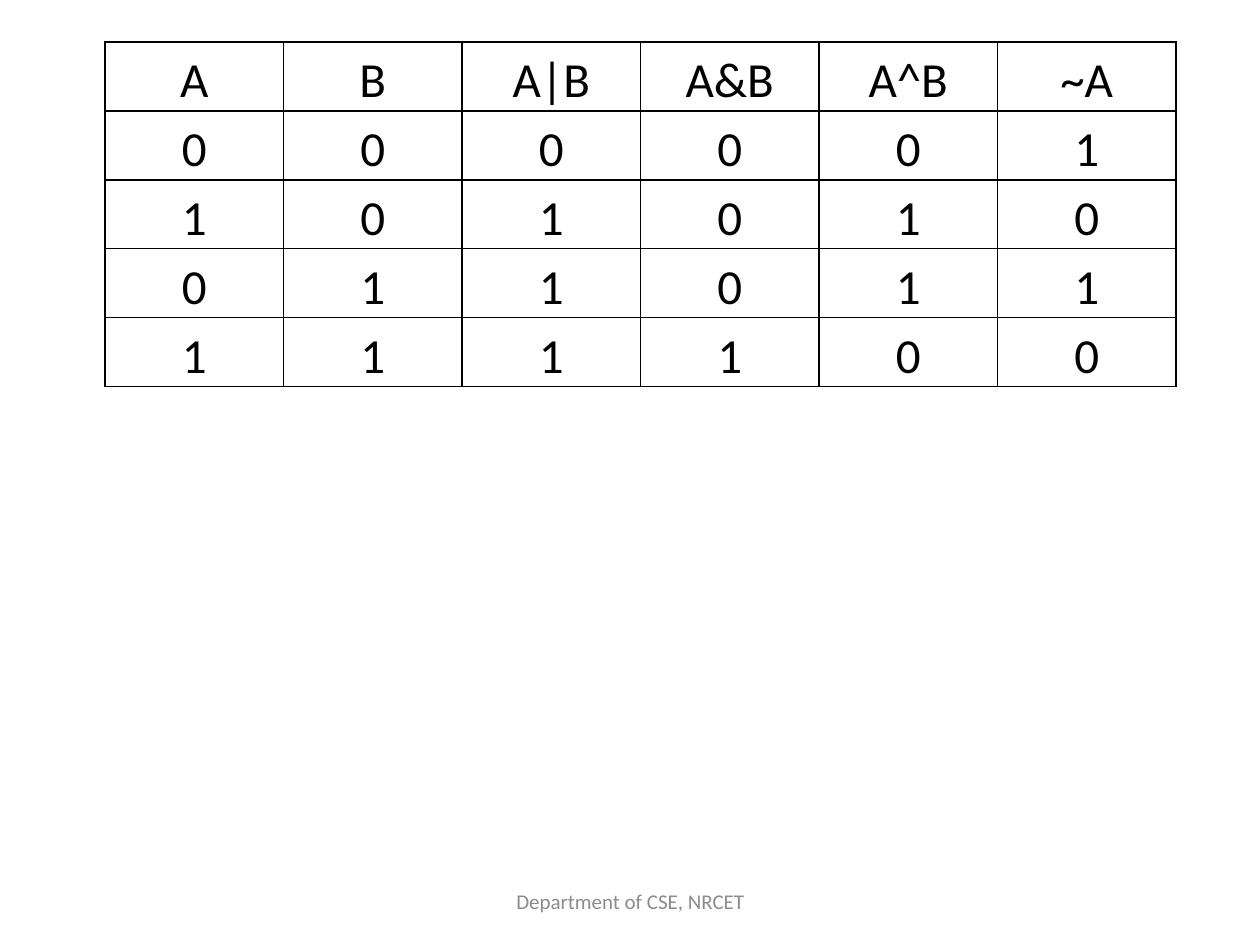
"""Build a slide with the truth table of the bitwise operators."""
from typing import NamedTuple

from lxml import etree
from pptx import Presentation
from pptx.dml.color import RGBColor
from pptx.enum.text import MSO_ANCHOR, PP_ALIGN
from pptx.oxml.ns import qn
from pptx.util import Emu, Pt

PX = 914400 // 126
FONT = "Calibri"
BLACK = RGBColor(0x00, 0x00, 0x00)
GRAY = RGBColor(0x8C, 0x8C, 0x8C)


class Box(NamedTuple):
    left: int
    top: int
    width: int
    height: int

    def emu(self) -> list[Emu]:
        return [Emu(length * PX) for length in self]


class TextStyle(NamedTuple):
    size: int
    color: RGBColor
    line_spacing: float


CELL_STYLE = TextStyle(28, BLACK, 1.15)
FOOTER_STYLE = TextStyle(12, GRAY, 1.0)
TABLE_BOX = Box(105, 42, 1071, 315)
FOOTER_BOX = Box(431, 876, 399, 50)
CELL_INSET = 9

HEADERS = ("A", "B", "A|B", "A&B", "A^B", "~A")
INPUTS = ((0, 0), (1, 0), (0, 1), (1, 1))


def write_text(frame, text: str, style: TextStyle) -> None:
    paragraph = frame.paragraphs[0]
    paragraph.alignment = PP_ALIGN.CENTER
    paragraph.line_spacing = style.line_spacing
    run = paragraph.add_run()
    run.text = text
    run.font.name = FONT
    run.font.size = Pt(style.size)
    run.font.color.rgb = style.color


def add_borders(cell, color: RGBColor, width: int) -> None:
    properties = cell._tc.get_or_add_tcPr()
    for side in ("a:lnL", "a:lnR", "a:lnT", "a:lnB"):
        line = etree.SubElement(properties, qn(side), w=str(Pt(width)))
        fill = etree.SubElement(line, qn("a:solidFill"))
        etree.SubElement(fill, qn("a:srgbClr"), val=str(color))


def format_cell(cell, text: str) -> None:
    cell.vertical_anchor = MSO_ANCHOR.MIDDLE
    cell.margin_left = cell.margin_right = Emu(CELL_INSET * PX)
    cell.margin_top = cell.margin_bottom = 0
    add_borders(cell, BLACK, 1)
    cell.fill.background()
    write_text(cell.text_frame, text, CELL_STYLE)


def add_truth_table(slide) -> None:
    rows = [HEADERS] + [(a, b, a | b, a & b, a ^ b, 1 - a) for a, b in INPUTS]
    table = slide.shapes.add_table(len(rows), len(HEADERS), *TABLE_BOX.emu()).table
    table.first_row = table.horz_banding = False
    for row_index, row in enumerate(rows):
        for column_index, value in enumerate(row):
            format_cell(table.cell(row_index, column_index), str(value))


def add_footer(slide, text: str) -> None:
    frame = slide.shapes.add_textbox(*FOOTER_BOX.emu()).text_frame
    frame.word_wrap = True
    frame.vertical_anchor = MSO_ANCHOR.MIDDLE
    write_text(frame, text, FOOTER_STYLE)


def main() -> None:
    presentation = Presentation()
    presentation.slide_width = Emu(1260 * PX)
    presentation.slide_height = Emu(945 * PX)
    slide = presentation.slides.add_slide(presentation.slide_layouts[6])
    add_truth_table(slide)
    add_footer(slide, "Department of CSE, NRCET")
    presentation.save("out.pptx")


main()
